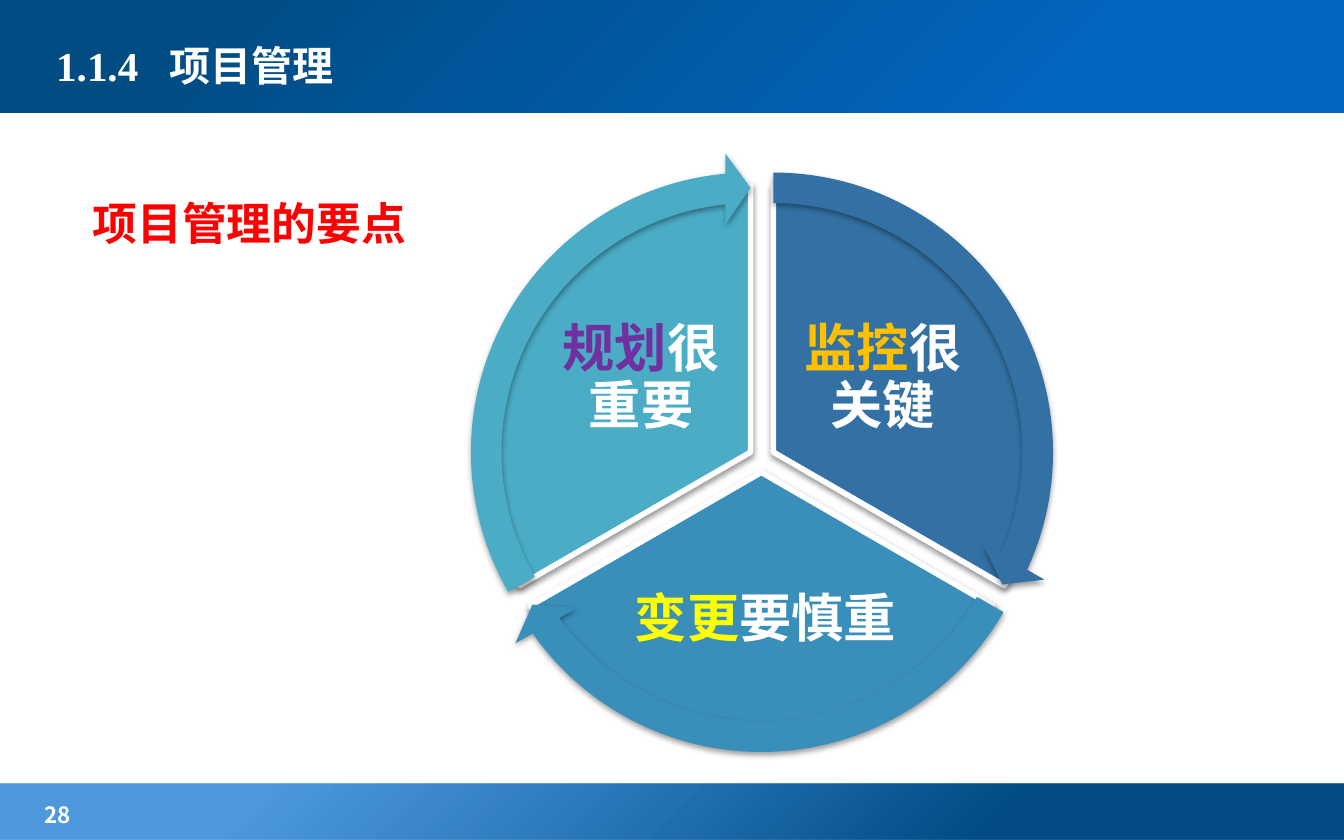
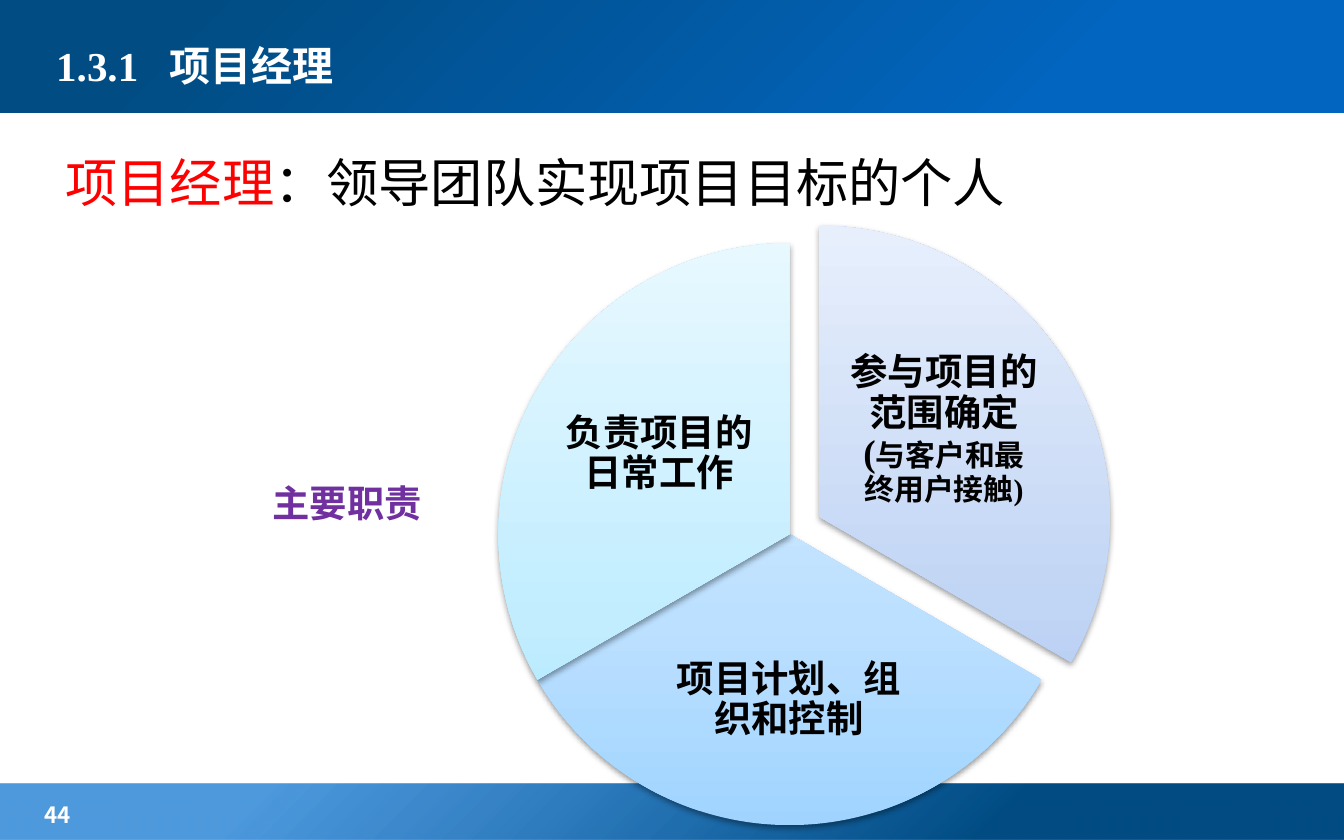
from collections import namedtuple
from lxml import etree
from pptx import Presentation
from pptx.dml.color import RGBColor
from pptx.enum.shapes import MSO_SHAPE
from pptx.enum.text import MSO_ANCHOR, MSO_AUTO_SIZE, PP_ALIGN
from pptx.oxml.ns import qn
from pptx.util import Inches, Pt

SERIF, SANS, LATO = "Times New Roman", "Noto Sans CJK SC", "Lato"
WHITE, BLACK, RED, PURPLE = "FFFFFF", "000000", "FF0000", "7030A0"
AMBER, YELLOW = "FFC000", "FFFF00"
NAVY = "014C83"
TOP_BAND = [(21, "0265BF", 100), (86, NAVY, 100)]
FOOT_BAND = [(26, NAVY, 100), (80, "026DCE", 70)]
# Start and end angles of the right, bottom and left thirds, as preset adjustments
THIRDS = [(162, 18), (18, 90), (90, 162)]
# Angles where the arrowheads begin, just before the end of each third
HEAD_ANGLES = [14.73, 86.72, 158.73]

# offset: wedge position in the diagram; label: box inside the wedge
Wedge = namedtuple("Wedge", "offset label fill runs")


def color(text):
    """Turn a hex string into a colour."""
    return RGBColor.from_string(text)


def child(parent, tag, **attributes):
    """Add a drawing element to a parent element."""
    values = {key: str(value) for key, value in attributes.items()}
    return etree.SubElement(parent, qn("a:" + tag), values)


def add_color(parent, text, alpha=100):
    """Write a colour element with its opacity in percent."""
    node = child(parent, "srgbClr", val=text)
    if alpha < 100:
        child(node, "alpha", val=alpha * 1000)


def gradient(shape, stops, radial=False):
    """Fill with a bottom-up gradient, or one radiating from the lower right."""
    shape.fill.gradient()
    node = shape._element.spPr.find(qn("a:gradFill"))
    for old in list(node):
        node.remove(old)
    stop_list = child(node, "gsLst")
    for position, text, alpha in stops:
        add_color(child(stop_list, "gs", pos=position * 1000), text, alpha)
    if radial:
        spread = child(node, "path", path="circle")
        child(spread, "fillToRect", l=100000, t=100000)
    else:
        child(node, "lin", ang=270 * 60000, scaled=0)


def drop_shadow(shape):
    """Give a shape a soft shadow just below it."""
    effects = shape._element.spPr.find(qn("a:effectLst"))
    outer = child(effects, "outerShdw", blurRad=40000, dist=20000,
                  dir=90 * 60000, rotWithShape=0)
    add_color(outer, BLACK, 38)


def add_shape(shapes, kind, box, fill=None, line=None, width=0):
    """Add a preset shape with a plain, gradient or empty fill."""
    shape = shapes.add_shape(kind, *map(Inches, box))
    shape.shadow.inherit = False
    if fill is None:
        shape.fill.background()
    elif isinstance(fill, str):
        shape.fill.solid()
        shape.fill.fore_color.rgb = color(fill)
    else:
        gradient(shape, fill)
    if line:
        shape.line.color.rgb = color(line)
        shape.line.width = Pt(width)
    else:
        shape.line.fill.background()
    return shape


def write(holder, runs, font, bold=True, spacing=None, align=PP_ALIGN.LEFT,
          anchor=MSO_ANCHOR.TOP, margins=None):
    """Write one paragraph of (text, size, colour) runs into a shape."""
    frame = holder.text_frame
    frame.word_wrap = True
    frame.vertical_anchor = anchor
    if margins:
        (frame.margin_left, frame.margin_top,
         frame.margin_right, frame.margin_bottom) = map(Inches, margins)
    para = frame.paragraphs[0]
    para.alignment = align
    if spacing:
        para.line_spacing = spacing
    for text, size, tint in runs:
        span = para.add_run()
        span.text = text
        span.font.name = font
        span.font.size = Pt(size)
        span.font.bold = bold
        span.font.color.rgb = color(tint)
        east_asian = etree.Element(qn("a:ea"), typeface=SANS)
        span._r.rPr.find(qn("a:latin")).addnext(east_asian)
    return para


def add_text(shapes, box, runs, font, **options):
    """Add a text box holding one paragraph."""
    holder = shapes.add_textbox(*map(Inches, box))
    return holder, write(holder, runs, font, **options)


def add_page(deck, section, title, number):
    """Add a slide with its bands, numbered title and page number."""
    page = deck.slides.add_slide(deck.slide_layouts[6])
    bands = [((0, 5.83, 10, 0.42), FOOT_BAND), ((0, -0.03, 10, 0.87), TOP_BAND)]
    for box, stops in bands:
        gradient(add_shape(page.shapes, MSO_SHAPE.RECTANGLE, box), stops, radial=True)
    add_text(page.shapes, (0.23, 5.91, 1.57, 0.26), [(number, 12, WHITE)], SANS)
    para = add_text(page.shapes, (0.32, 0.13, 6.38, 0.71),
                    [(f"{section}\t{title}", 22, WHITE)], SERIF,
                    anchor=MSO_ANCHOR.MIDDLE)[1]
    tabs = child(para._p.get_or_add_pPr(), "tabLst")
    child(tabs, "tab", pos=Inches(0.84), algn="l")
    return page


def add_wheel(page, left, top, size, wedges, font, inset, outline=None, arrow_size=0):
    """Draw three labelled thirds of a circle, with optional arrows around them."""
    shapes = page.shapes.add_group_shape().shapes
    for wedge, angles in zip(wedges, THIRDS):
        x, y = left + wedge.offset[0], top + wedge.offset[1]
        pie = add_shape(shapes, MSO_SHAPE.PIE, (x, y, size, size),
                        wedge.fill, outline, 3)
        pie.adjustments[0], pie.adjustments[1] = angles
        drop_shadow(pie)
        dx, dy, width, height = wedge.label
        add_text(shapes, (x + dx, y + dy, width, height), wedge.runs, font,
                 spacing=0.9, align=PP_ALIGN.CENTER, anchor=MSO_ANCHOR.MIDDLE,
                 margins=[inset] * 4)
    if not arrow_size:
        return
    rim = (arrow_size - size) / 2
    for wedge, head, (start, _) in zip(wedges, HEAD_ANGLES, THIRDS):
        box = (left + wedge.offset[0] - rim, top + wedge.offset[1] - rim,
               arrow_size, arrow_size)
        arrow = add_shape(shapes, MSO_SHAPE.CIRCULAR_ARROW, box, wedge.fill)
        for index, value in enumerate((0.051, 3.275, head, start, 0.059)):
            arrow.adjustments[index] = value
        drop_shadow(arrow)


def key_points_page(deck):
    """Build the slide on the key points of project management."""
    page = add_page(deck, "1.1.4", "项目管理", "28")
    heading = add_shape(page.shapes, MSO_SHAPE.RECTANGLE, (0.59, 1.21, 8.9, 1.92),
                        line=WHITE, width=1.5)
    write(heading, [("项目管理的要点", 24, RED)], SERIF, spacing=1.5)
    wedges = [
        Wedge((0.17, 0), (2.09, 0.85, 1.42, 1.18), "3371A4",
              [("监控", 28, AMBER), ("很关键", 28, WHITE)]),
        Wedge((0.08, 0.15), (0.95, 2.57, 2.13, 1.04), "3A8FBA",
              [("变更", 28, YELLOW), ("要慎重", 28, WHITE)]),
        Wedge((0, 0), (0.46, 0.85, 1.42, 1.18), "4BACC6",
              [("规划", 28, PURPLE), ("很重要", 28, WHITE)]),
    ]
    add_wheel(page, 3.6, 1.38, 3.97, wedges, LATO, 0.04, WHITE, 4.46)


def manager_page(deck):
    """Build the slide on the project manager's duties."""
    page = add_page(deck, "1.3.1", "项目经理", "44")
    add_text(page.shapes, (1.93, 3.36, 1.39, 2.17), [("主要职责", 20, PURPLE)],
             SERIF, spacing=1.5)

    def pale(*tints):
        """Spread three tints over the height of a wedge."""
        return [(position, tint, 100) for position, tint in zip((0, 35, 100), tints)]

    wedges = [
        Wedge((0.22, -0.13), (2.36, 0.8, 1.47, 1.44),
              pale("A6C4F1", "C1D5F4", "E7EFFC"),
              [("参与项目的范围确定(", 20, BLACK),
               ("与客户和最终用户接触)", 16, BLACK)]),
        Wedge((0, 0), (1.18, 2.73, 1.96, 1.34),
              pale("A0D4FF", "BCE0FF", "E5F3FF"),
              [("项目计划、组织和控制", 20, BLACK)]),
        Wedge((0, 0), (0.46, 0.85, 1.47, 1.44),
              pale("A7E6FF", "C1EDFF", "E7F8FF"),
              [("负责项目的日常工作", 20, BLACK)]),
    ]
    add_wheel(page, 3.71, 1.81, 4.33, wedges, SERIF, 0.03)
    holder, para = add_text(
        page.shapes, (0.39, 1.11, 7.36, 0.48),
        [("项目经理", 28, RED), ("：领导团队实现项目目标的个人", 28, BLACK)],
        "Noto Sans CJK JP", bold=False, margins=(0.1, 0.01, 0, 0))
    para.space_before = Pt(0.7)
    holder.text_frame.auto_size = MSO_AUTO_SIZE.SHAPE_TO_FIT_TEXT


deck = Presentation()
deck.slide_width, deck.slide_height = Inches(10), Inches(6.25)
key_points_page(deck)
manager_page(deck)
deck.save("out.pptx")
